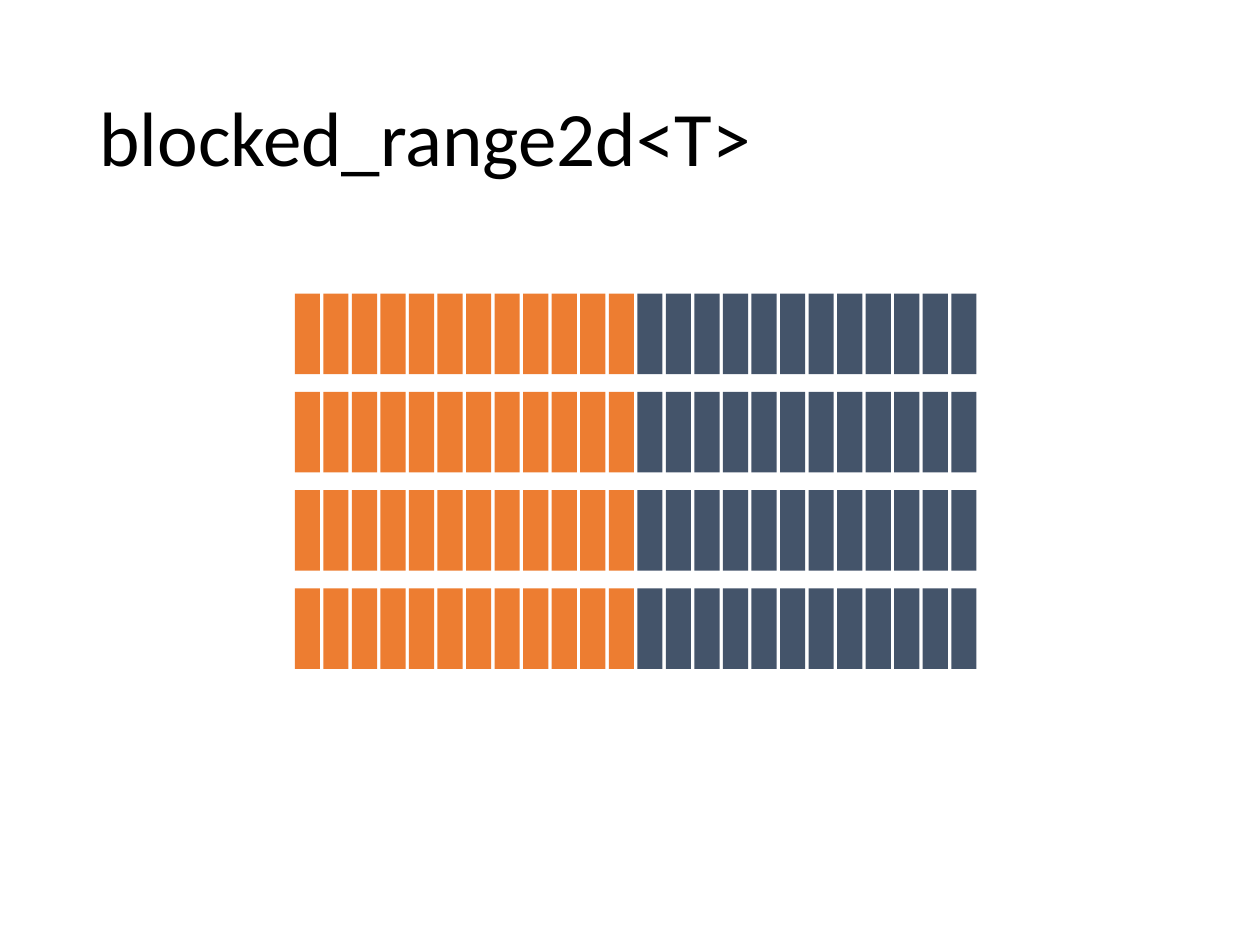
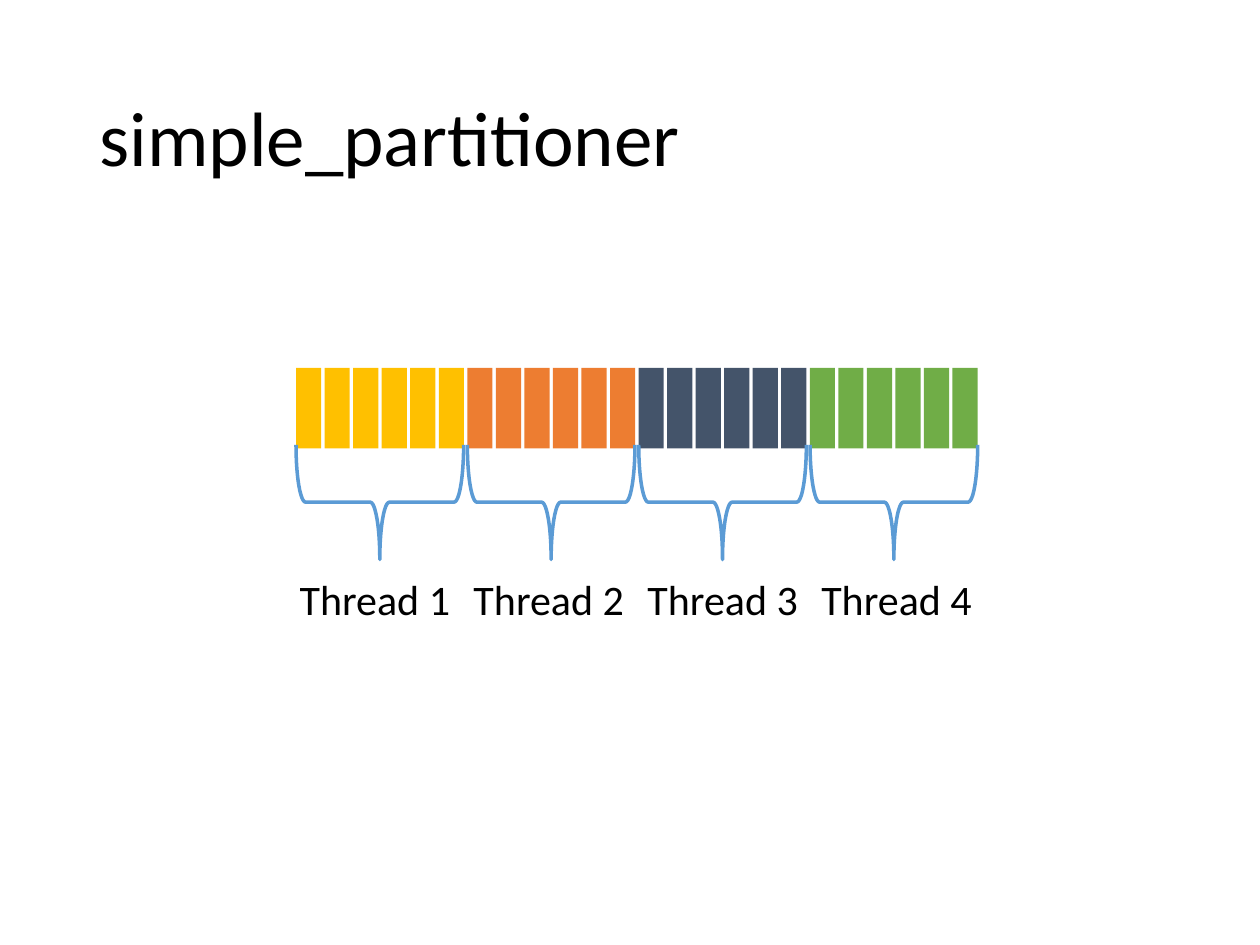
from pptx import Presentation
from pptx.dml.color import RGBColor
from pptx.enum.shapes import MSO_SHAPE as Shape
from pptx.enum.text import MSO_ANCHOR as Anchor, MSO_AUTO_SIZE as Fit, PP_ALIGN as Align
from pptx.util import Inches, Pt

BLACK = RGBColor(0x00, 0x00, 0x00)
ORANGE = RGBColor(0xED, 0x7D, 0x31)
NAVY = RGBColor(0x44, 0x54, 0x6A)
GOLD = RGBColor(0xFF, 0xC0, 0x00)
GREEN = RGBColor(0x70, 0xAD, 0x47)
BLUE = RGBColor(0x5B, 0x9B, 0xD5)

CELLS = 24
PITCH = 5.21 / (CELLS - 1)
FRAME = {"vertical_anchor": Anchor.MIDDLE, "word_wrap": True, "auto_size": Fit.NONE}
HEAD = {"alignment": Align.LEFT, "line_spacing": 0.9}
LABEL = {"word_wrap": False, "auto_size": Fit.SHAPE_TO_FIT_TEXT}

deck = Presentation()
deck.slide_width = Inches(10)
deck.slide_height = Inches(7.5)


def start(name):
    slide = deck.slides.add_slide(deck.slide_layouts[5])
    title = slide.shapes.title
    box = {"left": 0.69, "top": 0.4, "width": 8.62, "height": 1.45}
    for key, value in box.items():
        setattr(title, key, Inches(value))
    frame = title.text_frame
    frame.text = name
    line = frame.paragraphs[0]
    font = {"name": "Calibri", "size": Pt(44)}
    for part, style in ((frame, FRAME), (line, HEAD), (line.font, font)):
        for key, value in style.items():
            setattr(part, key, value)
    line.font.color.rgb = BLACK
    return slide


def strip(slide, left, top, tints):
    for i in range(CELLS):
        cell = slide.shapes.add_shape(
            Shape.RECTANGLE, Inches(left + i * PITCH), Inches(top), Inches(0.2), Inches(0.64))
        cell.shadow.inherit = False
        cell.fill.solid()
        cell.fill.fore_color.rgb = tints[i * len(tints) // CELLS]
        cell.line.fill.background()


slide = start("blocked_range2d<T>")
for row in range(4):
    strip(slide, 2.34, 2.33 + row * 0.78, (ORANGE, NAVY))

slide = start("simple_partitioner")
strip(slide, 2.35, 2.92, (GOLD, ORANGE, NAVY, GREEN))
for i in range(4):
    brace = slide.shapes.add_shape(
        Shape.LEFT_BRACE, Inches(2.56 + i * 1.36), Inches(3.32), Inches(0.91), Inches(1.33))
    brace.rotation = 270
    brace.shadow.inherit = False
    brace.fill.background()
    brace.line.color.rgb = BLUE
    brace.line.width = Pt(2)

    label = slide.shapes.add_textbox(
        Inches(2.28 + i * 1.38), Inches(4.5), Inches(1.47), Inches(0.5))
    frame = label.text_frame
    frame.text = f"Thread {i + 1}"
    font = frame.paragraphs[0].font
    for part, style in ((frame, LABEL), (font, {"name": "Calibri", "size": Pt(24)})):
        for key, value in style.items():
            setattr(part, key, value)
    font.color.rgb = BLACK

deck.save("out.pptx")
